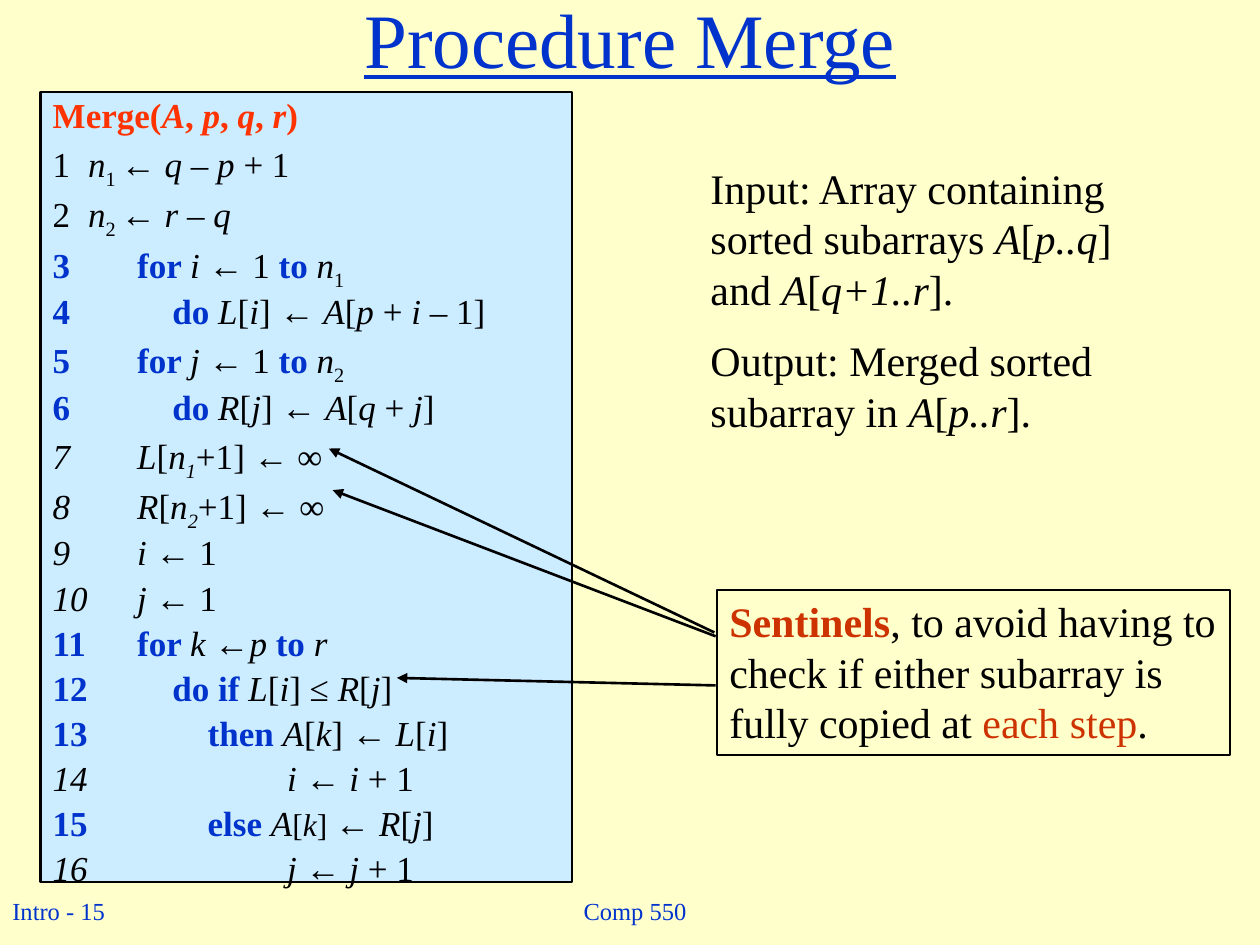
from dataclasses import dataclass

from lxml.etree import SubElement
from pptx import Presentation
from pptx.dml.color import RGBColor
from pptx.enum.shapes import MSO_CONNECTOR, MSO_SHAPE
from pptx.enum.text import MSO_ANCHOR, PP_ALIGN
from pptx.oxml.ns import qn
from pptx.util import Inches, Pt

COLUMNS, ROWS, CELL = 100, 75, 0.1
FONT = "Times New Roman"
BLACK, BLUE, RED, RUST = "000000", "0033CC", "FF3300", "CC3300"
CREAM, PALE_BLUE = "FFFFCC", "CCECFF"
NUMBER_WIDTH, STEP = 0.67, 0.28
FIRST_AUTO_NUMBER = 3
ITALIC, SUBSCRIPT, BOLD, ACCENT, SMALL = "*~#@^"


@dataclass(frozen=True)
class Box:
    column: float
    row: float
    columns: float
    rows: float
    fill: str | None = None
    line_width: float = 0
    wrap: bool = True
    anchor: MSO_ANCHOR = MSO_ANCHOR.TOP


@dataclass(frozen=True)
class Style:
    size: float
    color: str = BLACK
    accent: str = BLUE
    align: PP_ALIGN = PP_ALIGN.LEFT
    space_before: float = 0
    line_spacing: float = 1
    underline: bool = False


@dataclass(frozen=True)
class CodeLine:
    text: str
    steps: float = 0
    numbered: bool = True
    accent: str = BLUE


@dataclass(frozen=True)
class Arrow:
    start: tuple[float, float]
    end: tuple[float, float]


def color(value: str) -> RGBColor:
    return RGBColor.from_string(value)


def grid(cells: float) -> int:
    return Inches(cells * CELL)


def add_box(slide, box: Box):
    place = [grid(n) for n in (box.column, box.row, box.columns, box.rows)]
    if box.line_width:
        shape = slide.shapes.add_shape(MSO_SHAPE.RECTANGLE, *place)
        shape.shadow.inherit = False
        shape.line.color.rgb = color(BLACK)
        shape.line.width = Pt(box.line_width)
        if box.fill:
            shape.fill.solid()
            shape.fill.fore_color.rgb = color(box.fill)
        else:
            shape.fill.background()
    else:
        shape = slide.shapes.add_textbox(*place)
    shape.text_frame.word_wrap = box.wrap
    shape.text_frame.vertical_anchor = box.anchor
    return shape.text_frame


def add_run(paragraph, text: str, active: set[str], style: Style) -> None:
    run = paragraph.add_run()
    run.text = text
    font = run.font
    font.name = FONT
    font.size = Pt(style.size - 2 if SMALL in active else style.size)
    font.bold = BOLD in active
    font.italic = ITALIC in active
    font.underline = style.underline
    font.color.rgb = color(style.accent if active & {BOLD, ACCENT} else style.color)
    if SUBSCRIPT in active:
        run._r.get_or_add_rPr().set("baseline", "-25000")


def add_paragraph(frame, text: str, style: Style, first: bool):
    paragraph = frame.paragraphs[0] if first else frame.add_paragraph()
    paragraph.alignment = style.align
    paragraph.space_before = Pt(style.space_before)
    paragraph.line_spacing = style.line_spacing
    active: set[str] = set()
    piece = ""
    for character in text:
        if character not in (ITALIC, SUBSCRIPT, BOLD, ACCENT, SMALL):
            piece += character
            continue
        if piece:
            add_run(paragraph, piece, active, style)
        piece = ""
        active ^= {character}
    if piece:
        add_run(paragraph, piece, active, style)
    return paragraph


def add_text(slide, box: Box, style: Style, *texts: str) -> None:
    frame = add_box(slide, box)
    for index, text in enumerate(texts):
        add_paragraph(frame, text, style, index == 0)


def add_code(slide, box: Box, lines: list[CodeLine]) -> None:
    frame = add_box(slide, box)
    for index, line in enumerate(lines):
        style = Style(20, accent=line.accent, space_before=4.2, line_spacing=0.9)
        paragraph = add_paragraph(frame, line.text, style, index == 0)
        indent = line.steps * STEP + (NUMBER_WIDTH if line.numbered else 0)
        properties = paragraph._p.get_or_add_pPr()
        properties.set("marL", str(Inches(indent)))
        properties.set("indent", str(-Inches(indent)))
        if line.numbered:
            number = SubElement(properties, qn("a:buAutoNum"))
            number.set("type", "arabicPlain")
            number.set("startAt", str(FIRST_AUTO_NUMBER))
        else:
            SubElement(properties, qn("a:buNone"))


def add_arrow(slide, arrow: Arrow) -> None:
    ends = [grid(n) for n in (*arrow.start, *arrow.end)]
    connector = slide.shapes.add_connector(MSO_CONNECTOR.STRAIGHT, *ends)
    connector.line.color.rgb = color(BLACK)
    connector.line.width = Pt(1.5)
    SubElement(connector.line._get_or_add_ln(), qn("a:tailEnd")).set("type", "triangle")
    SubElement(connector._element.spPr, qn("a:effectLst"))


CODE = [
    CodeLine("#Merge(*A*, *p*, *q*, *r*)#", numbered=False, accent=RED),
    CodeLine("1\t*n*~1 ~← *q *– *p *+ 1", 1, numbered=False),
    CodeLine("2\t*n*~2 ~← *r *– *q*", 1, numbered=False),
    CodeLine("#for #*i *← 1 #to #*n*~1 ~"),
    CodeLine("#do #*L*[*i*] ← *A*[*p *+ *i *– 1]", 1),
    CodeLine("#for #*j *← 1 #to #*n*~2 ~"),
    CodeLine("#do #*R*[*j*] ← *A*[*q *+ *j*]", 1),
    CodeLine("*L*[*n~1~*+1] ← ∞"),
    CodeLine("*R*[*n~2~*+1] ← ∞"),
    CodeLine("*i* ← 1"),
    CodeLine("*j* ← 1"),
    CodeLine("#for #*k *←*p *#to #*r*"),
    CodeLine("#do if #*L*[*i*] ≤ *R*[*j*]", 1),
    CodeLine("#then #*A*[*k*] ← *L*[*i*]", 2),
    CodeLine("@@*i *← *i* + 1", 4.25),
    CodeLine("#else #*A*^[*k*] ^← *R*[*j*]", 2),
    CodeLine("*j *← *j* + 1", 4.25),
]
CODE[14] = CodeLine("*i *← *i* + 1", 4.25)

ARROWS = [
    Arrow((56.7, 50.2), (26.1, 35.6)),
    Arrow((56.8, 50.5), (26.4, 38.9)),
    Arrow((56.8, 54.4), (31.5, 53.8)),
]

presentation = Presentation()
presentation.slide_width, presentation.slide_height = grid(COLUMNS), grid(ROWS)
slide = presentation.slides.add_slide(presentation.slide_layouts[6])
slide.background.fill.solid()
slide.background.fill.fore_color.rgb = color(CREAM)

footer = Style(14, BLUE)
centered_footer = Style(14, BLUE, align=PP_ALIGN.CENTER)
title = Style(44, BLUE, align=PP_ALIGN.CENTER, underline=True)
middle = MSO_ANCHOR.MIDDLE
add_text(slide, Box(0, 70.6, 9.7, 3.3, wrap=False), footer, "Intro - 15")
add_text(slide, Box(40, 69.8, 20.8, 5, wrap=False, anchor=middle), centered_footer, "Comp 550")
add_text(slide, Box(0, -2, COLUMNS, 10, anchor=middle), title, "Procedure Merge")
add_code(slide, Box(3.2, 7.3, 42.2, 62.7, PALE_BLUE, 1.5), CODE)
add_text(
    slide, Box(56.9, 46.8, 40.7, 13.1, line_width=1, wrap=False), Style(24, accent=RUST),
    "#Sentinels#, to avoid having to", "check if either subarray is",
    "fully copied at @each step@.",
)
for arrow in ARROWS:
    add_arrow(slide, arrow)
add_text(
    slide, Box(55.4, 12.4, 37.1, 23), Style(24, space_before=12),
    "Input: Array containing sorted subarrays *A*[*p..q*] and *A*[*q+1..r*].",
    "Output: Merged sorted subarray in *A*[*p..r*].",
)
presentation.save("out.pptx")
